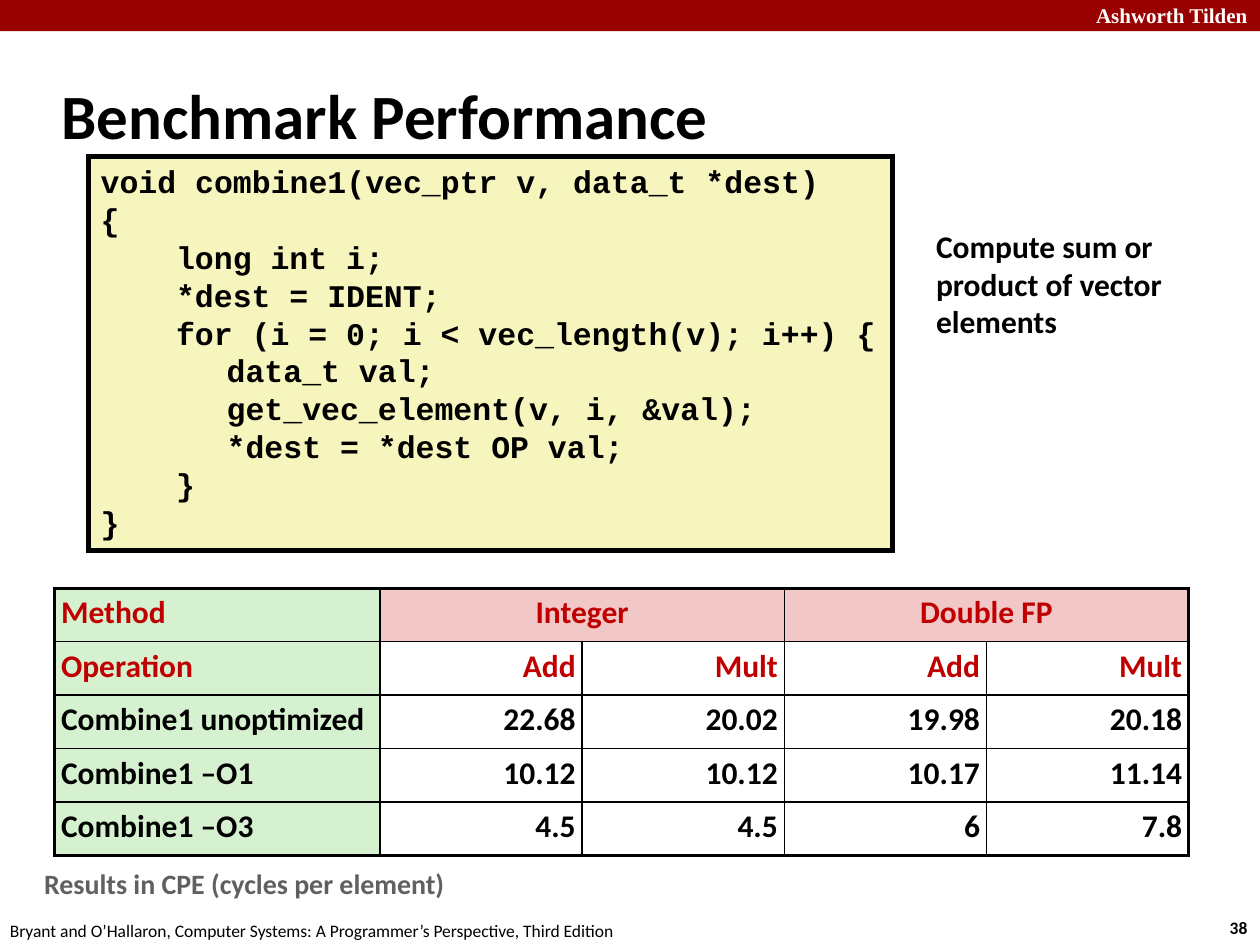
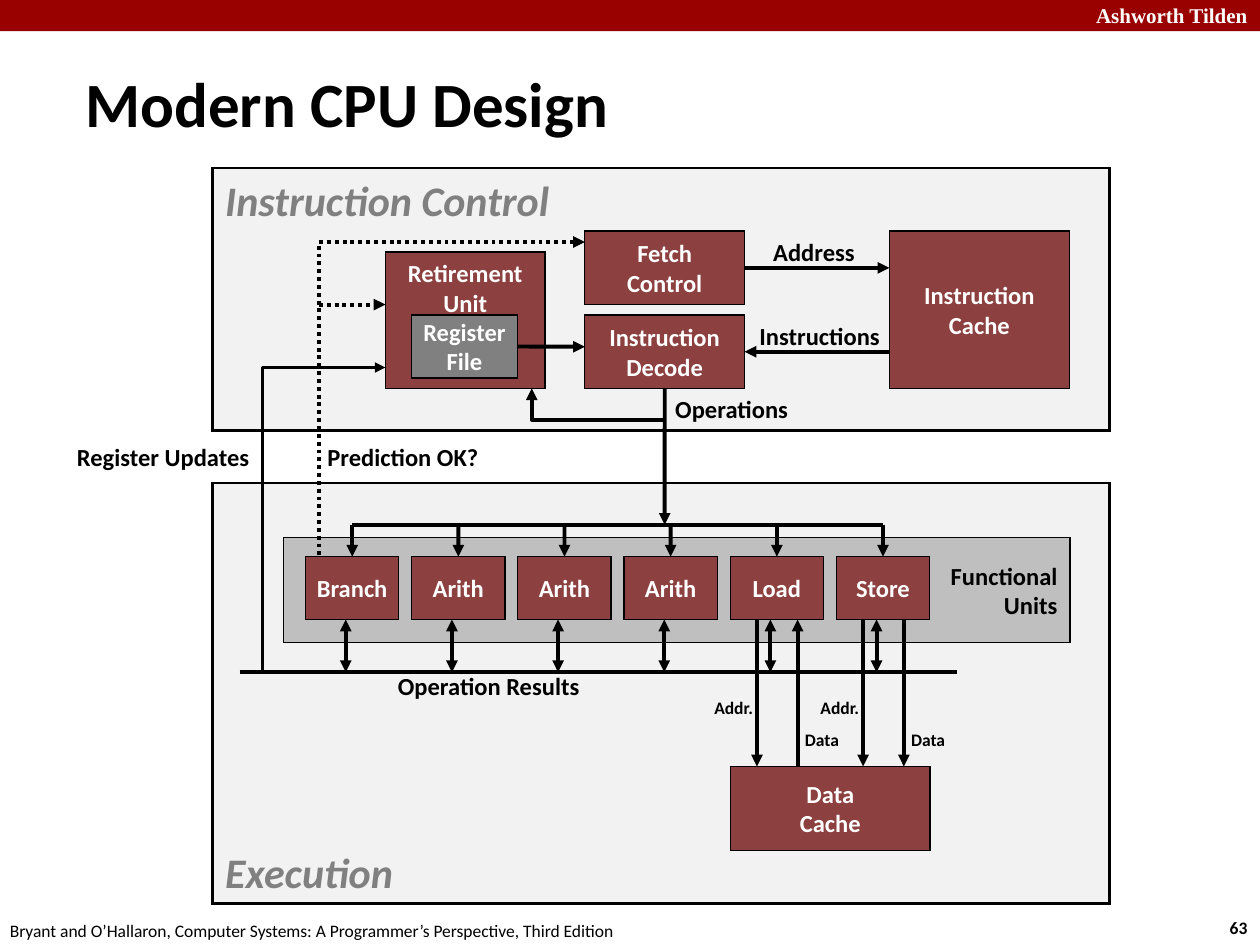
from dataclasses import dataclass

from lxml import etree
from pptx import Presentation
from pptx.dml.color import RGBColor
from pptx.enum.dml import MSO_LINE
from pptx.enum.shapes import MSO_CONNECTOR, MSO_SHAPE
from pptx.enum.text import MSO_ANCHOR, MSO_AUTO_SIZE, PP_ALIGN
from pptx.oxml.ns import qn
from pptx.util import Cm, Pt

RECTANGLE = MSO_SHAPE.RECTANGLE
STRAIGHT = MSO_CONNECTOR.STRAIGHT
DOTTED = MSO_LINE.ROUND_DOT
LEFT, CENTER, RIGHT = PP_ALIGN.LEFT, PP_ALIGN.CENTER, PP_ALIGN.RIGHT
TOP, MIDDLE, BOTTOM = MSO_ANCHOR.TOP, MSO_ANCHOR.MIDDLE, MSO_ANCHOR.BOTTOM
NO_AUTOFIT = MSO_AUTO_SIZE.NONE
SIDE_TOP, SIDE_BOTTOM, SIDE_RIGHT = 0, 2, 3

BLACK = RGBColor(0x00, 0x00, 0x00)
WHITE = RGBColor(0xFF, 0xFF, 0xFF)
BAND_RED = RGBColor(0x99, 0x00, 0x00)
HEADING_RED = RGBColor(0xC0, 0x00, 0x00)
CODE_YELLOW = RGBColor(0xF6, 0xF5, 0xBD)
METHOD_GREEN = RGBColor(0xD5, 0xF1, 0xCF)
TYPE_PINK = RGBColor(0xF1, 0xC7, 0xC7)
CAPTION_GRAY = RGBColor(0x60, 0x60, 0x60)
PANEL_GRAY = RGBColor(0xF2, 0xF2, 0xF2)
UNITS_GRAY = RGBColor(0xBF, 0xBF, 0xBF)
MID_GRAY = RGBColor(0x80, 0x80, 0x80)
UNIT_RED = RGBColor(0x8C, 0x40, 0x40)

BODY_FONT, CODE_FONT, BRAND_FONT = "Calibri", "Courier New", "Times New Roman"
FOOTER = "Bryant and O’Hallaron, Computer Systems: A Programmer’s Perspective, Third Edition"

CODE_INDENTS = (0, 1.52, 2.54)
CODE = [
    (0, "void combine1(vec_ptr v, data_t *dest)"),
    (0, "{"),
    (1, "long int i;"),
    (1, "*dest = IDENT;"),
    (1, "for (i = 0; i < vec_length(v); i++) {"),
    (2, "data_t val;"),
    (2, "get_vec_element(v, i, &val);"),
    (2, "*dest = *dest OP val;"),
    (1, "}"),
    (0, "}"),
]
BENCHMARKS = [
    ("Method", "Integer", "", "Double FP", ""),
    ("Operation", "Add", "Mult", "Add", "Mult"),
    ("Combine1 unoptimized", "22.68", "20.02", "19.98", "20.18"),
    ("Combine1 –O1", "10.12", "10.12", "10.17", "11.14"),
    ("Combine1 –O3", "4.5", "4.5", "6", "7.8"),
]
UNITS = ("Branch", "Arith", "Arith", "Arith", "Load", "Store")
UNIT_LEFT, UNIT_PITCH, UNIT_TOP, UNIT_WIDTH, UNIT_HEIGHT = 1.87, 2.14, 1.48, 1.88, 1.27
UNIT_BOTTOM = UNIT_TOP + UNIT_HEIGHT
OPERATION_BUS_Y, RESULT_BUS_Y = 0.84, 3.81


@dataclass
class Box:
    left: float
    top: float
    width: float
    height: float

    def inner(self, x, y, width, height):
        return Box(self.left + x, self.top + y, width, height)

    def at(self, x, y):
        return self.left + x, self.top + y

    def lengths(self):
        return Cm(self.left), Cm(self.top), Cm(self.width), Cm(self.height)


def style(paragraph, size, color=BLACK, align=LEFT, font=BODY_FONT, bold=True, italic=False):
    paragraph.alignment = align
    paragraph.font.name = font
    paragraph.font.size = Pt(size)
    paragraph.font.bold = bold
    paragraph.font.italic = italic
    paragraph.font.color.rgb = color


def write(frame, text, size, wrap=False, anchor=TOP, **look):
    frame.word_wrap = wrap
    frame.vertical_anchor = anchor
    frame.text = text
    for paragraph in frame.paragraphs:
        style(paragraph, size, **look)


def add_label(slide, box, text, size=14, **look):
    label = slide.shapes.add_textbox(*box.lengths())
    write(label.text_frame, text, size, **look)


def add_block(slide, box, fill, line_width=0.75):
    block = slide.shapes.add_shape(RECTANGLE, *box.lengths())
    block.shadow.inherit = False
    block.fill.solid()
    block.fill.fore_color.rgb = fill
    if line_width:
        block.line.color.rgb = BLACK
        block.line.width = Pt(line_width)
        etree.SubElement(block.line._get_or_add_ln(), qn("a:miter"), lim="800000")
    else:
        block.line.fill.background()
    return block


def add_unit(slide, box, text, fill=UNIT_RED, anchor=MIDDLE):
    unit = add_block(slide, box, fill)
    write(unit.text_frame, text, 14, anchor=anchor, color=WHITE, align=CENTER)
    return unit


def format_line(line, width, dash, ends):
    line.color.rgb = BLACK
    line.width = Pt(width)
    if dash:
        line.dash_style = dash
    for end in ends:
        etree.SubElement(line._get_or_add_ln(), qn(f"a:{end}End"), type="triangle")


def add_line(slide, start, finish, ends=("tail",), dash=None, source=None, target=None):
    wire = slide.shapes.add_connector(STRAIGHT, *(Cm(v) for v in (*start, *finish)))
    format_line(wire.line, 2.25, dash, ends)
    etree.SubElement(wire._element.spPr, qn("a:effectLst"))
    if source:
        wire.begin_connect(*source)
    if target:
        wire.end_connect(*target)


def add_bent_line(slide, points, end, width=2.25, dash=None):
    start, *rest = [(Cm(x), Cm(y)) for x, y in points]
    builder = slide.shapes.build_freeform(*start)
    builder.add_line_segments(rest, close=False)
    wire = builder.convert_to_shape()
    wire.shadow.inherit = False
    wire.fill.background()
    format_line(wire.line, width, dash, (end,))


def start_slide(deck, title, title_box, number):
    slide = deck.slides.add_slide(deck.slide_layouts[5])
    add_block(slide, Box(0, 0, 25.4, 0.63), BAND_RED, 0)
    add_label(slide, Box(19.4, -0.08, 6, 0.76), "Ashworth Tilden", 12,
              wrap=True, color=WHITE, align=RIGHT, font=BRAND_FONT)
    add_label(slide, Box(24.54, 18.36, 0.94, 0.69), number, 10)
    add_label(slide, Box(-0.05, 18.42, 12.9, 0.69), FOOTER, 10, bold=False)
    heading = slide.shapes.title
    heading.left, heading.top, heading.width, heading.height = title_box.lengths()
    write(heading.text_frame, title, 36, wrap=True, anchor=MIDDLE)
    heading.text_frame.auto_size = NO_AUTOFIT
    return slide


def add_code(slide, box):
    listing = add_block(slide, box, CODE_YELLOW, 3)
    write(listing.text_frame, "\n".join(text for _, text in CODE), 18, font=CODE_FONT)
    for paragraph, (level, _) in zip(listing.text_frame.paragraphs, CODE):
        paragraph._p.get_or_add_pPr().set("marL", str(Cm(CODE_INDENTS[level])))


def set_borders(cell, widths):
    properties = cell._tc.get_or_add_tcPr()
    for position, (side, width) in enumerate(zip("LRTB", widths)):
        border = etree.Element(qn(f"a:ln{side}"), w=str(Pt(width)))
        fill = etree.SubElement(border, qn("a:solidFill"))
        etree.SubElement(fill, qn("a:srgbClr"), val=str(BLACK))
        properties.insert(position, border)


def add_benchmarks(slide, box):
    rows, columns = len(BENCHMARKS), len(BENCHMARKS[0])
    table = slide.shapes.add_table(rows, columns, *box.lengths()).table
    table.first_row = table.horz_banding = False
    method_width = 6.56
    for index, column in enumerate(table.columns):
        column.width = Cm(method_width if index == 0 else (box.width - method_width) / (columns - 1))
    for row in table.rows:
        row.height = Cm(box.height / rows)
    for first in (1, 3):
        table.cell(0, first).merge(table.cell(0, first + 1))
    for r, values in enumerate(BENCHMARKS):
        for c, value in enumerate(values):
            cell = table.cell(r, c)
            cell.margin_left = cell.margin_right = cell.margin_top = cell.margin_bottom = Cm(0.13)
            cell.text = value
            paragraph = cell.text_frame.paragraphs[0]
            paragraph.line_spacing = 0.95
            align = LEFT if c == 0 else CENTER if r == 0 else RIGHT
            style(paragraph, 18, HEADING_RED if r < 2 else BLACK, align)
            if c == 0 or r == 0:
                cell.fill.solid()
                cell.fill.fore_color.rgb = METHOD_GREEN if c == 0 else TYPE_PINK
            else:
                cell.fill.background()
            outer = (c == 0, c + cell.span_width == columns, r == 0, r == rows - 1)
            set_borders(cell, [2.25 if edge else 1 for edge in outer])


def add_panel(slide, box, name, anchor):
    panel = add_block(slide, box, PANEL_GRAY, 1.5)
    write(panel.text_frame, name, 24, anchor=anchor, color=MID_GRAY, italic=True)


def add_execution(slide, box):
    add_panel(slide, box, "Execution", BOTTOM)
    units_band = add_block(slide, box.inner(1.43, 1.1, 15.85, 2.11), UNITS_GRAY)
    write(units_band.text_frame, "Functional\nUnits", 14, anchor=MIDDLE, align=RIGHT)
    lefts = [UNIT_LEFT + i * UNIT_PITCH for i in range(len(UNITS))]
    centers = [left + UNIT_WIDTH / 2 for left in lefts]
    add_line(slide, box.at(centers[0], OPERATION_BUS_Y), box.at(centers[-1], OPERATION_BUS_Y), ends=())
    add_line(slide, box.at(0.54, RESULT_BUS_Y), box.at(15.01, RESULT_BUS_Y), ends=())
    add_label(slide, box.inner(3.48, 3.67, 4.22, 0.86), "Operation Results")
    for name, left, center in zip(UNITS, lefts, centers):
        unit = add_unit(slide, box.inner(left, UNIT_TOP, UNIT_WIDTH, UNIT_HEIGHT), name)
        add_line(slide, box.at(center, OPERATION_BUS_Y), box.at(center, UNIT_TOP), target=(unit, SIDE_TOP))
        result_x = left + 0.81
        add_line(slide, box.at(result_x, UNIT_BOTTOM), box.at(result_x, RESULT_BUS_Y), ends=("head", "tail"))

    cache_top = 5.71
    add_unit(slide, box.inner(10.44, cache_top, 4.02, 1.69), "Data\nCache")
    for name, left in list(zip(UNITS, lefts))[-2:]:
        add_line(slide, box.at(left + 0.54, UNIT_BOTTOM), box.at(left + 0.54, cache_top))
        data_end = "head" if name == "Load" else "tail"
        add_line(slide, box.at(left + 1.36, UNIT_BOTTOM), box.at(left + 1.36, cache_top), ends=(data_end,))
        add_label(slide, box.inner(left - 0.59, 4.18, 1.32, 0.69), "Addr.", 10, align=CENTER)
        add_label(slide, box.inner(left + 1.24, 4.84, 1.22, 0.69), "Data", 10, align=CENTER)


def add_control(slide, box):
    add_panel(slide, box, "Instruction Control", TOP)
    fetch = add_unit(slide, box.inner(7.5, 1.27, 3.22, 1.48), "Fetch\nControl")
    decode = add_unit(slide, box.inner(7.5, 2.96, 3.22, 1.48), "Instruction\nDecode")
    add_unit(slide, box.inner(13.64, 1.27, 3.63, 3.17), "Instruction\nCache")
    add_unit(slide, box.inner(3.48, 1.69, 3.22, 2.75), "Retirement\nUnit", anchor=TOP)
    registers = add_unit(slide, box.inner(4.01, 2.96, 2.13, 1.27), "Register\nFile", MID_GRAY)
    add_line(slide, box.at(10.72, 2.01), box.at(13.64, 2.01), source=(fetch, SIDE_RIGHT))
    add_line(slide, box.at(13.64, 3.7), box.at(10.72, 3.7), target=(decode, SIDE_RIGHT))
    add_line(slide, box.at(6.14, 3.6), box.at(7.5, 3.6), source=(registers, SIDE_RIGHT))
    add_bent_line(slide, [box.at(9.11, 5.07), box.at(6.43, 5.07), box.at(6.43, 4.44)], "tail")
    add_label(slide, box.inner(11.03, 1.27, 2.18, 0.86), "Address", align=CENTER)
    add_label(slide, box.inner(10.75, 2.96, 2.97, 0.86), "Instructions", align=CENTER)
    add_label(slide, box.inner(9.05, 4.43, 2.82, 0.86), "Operations", align=CENTER)
    return decode


def link_panels(slide, control, execution, decode):
    add_line(slide, control.at(9.11, 4.44), execution.at(9.11, OPERATION_BUS_Y), source=(decode, SIDE_BOTTOM))
    prediction = [control.at(7.5, 1.49), control.at(2.14, 1.49), execution.at(2.14, UNIT_TOP)]
    add_bent_line(slide, prediction, "head", dash=DOTTED)
    add_line(slide, control.at(2.14, 2.75), control.at(3.48, 2.75), dash=DOTTED)
    updates = [control.at(3.48, 4.02), control.at(1, 4.02), execution.at(1, RESULT_BUS_Y)]
    add_bent_line(slide, updates, "head", width=1.5)
    add_label(slide, control.inner(2.06, 5.39, 3.58, 0.86), "Prediction OK?")
    add_label(slide, control.inner(-3.02, 5.39, 4.01, 0.86), "Register Updates", align=RIGHT)


def add_benchmark_slide(deck):
    slide = start_slide(deck, "Benchmark Performance", Box(0.99, 1.24, 21.08, 2.11), "38")
    add_code(slide, Box(1.78, 3.15, 16.21, 7.95))
    add_label(slide, Box(18.62, 4.45, 6.78, 2.57), "Compute sum or product of vector elements", 18, wrap=True)
    add_benchmarks(slide, Box(1.1, 11.86, 22.86, 5.38))
    add_label(slide, Box(0.64, 17.35, 15.04, 0.94), "Results in CPE (cycles per element)", 16,
              wrap=True, color=CAPTION_GRAY)


def add_cpu_slide(deck):
    slide = start_slide(deck, "Modern CPU Design", Box(1.47, 1.27, 16.28, 1.6), "63")
    control = Box(4.29, 3.39, 18.08, 5.29)
    execution = Box(4.29, 9.74, 18.08, 8.47)
    add_execution(slide, execution)
    decode = add_control(slide, control)
    link_panels(slide, control, execution, decode)


def main():
    deck = Presentation()
    deck.slide_width, deck.slide_height = Cm(25.4), Cm(19.05)
    add_benchmark_slide(deck)
    add_cpu_slide(deck)
    deck.save("out.pptx")


if __name__ == "__main__":
    main()
